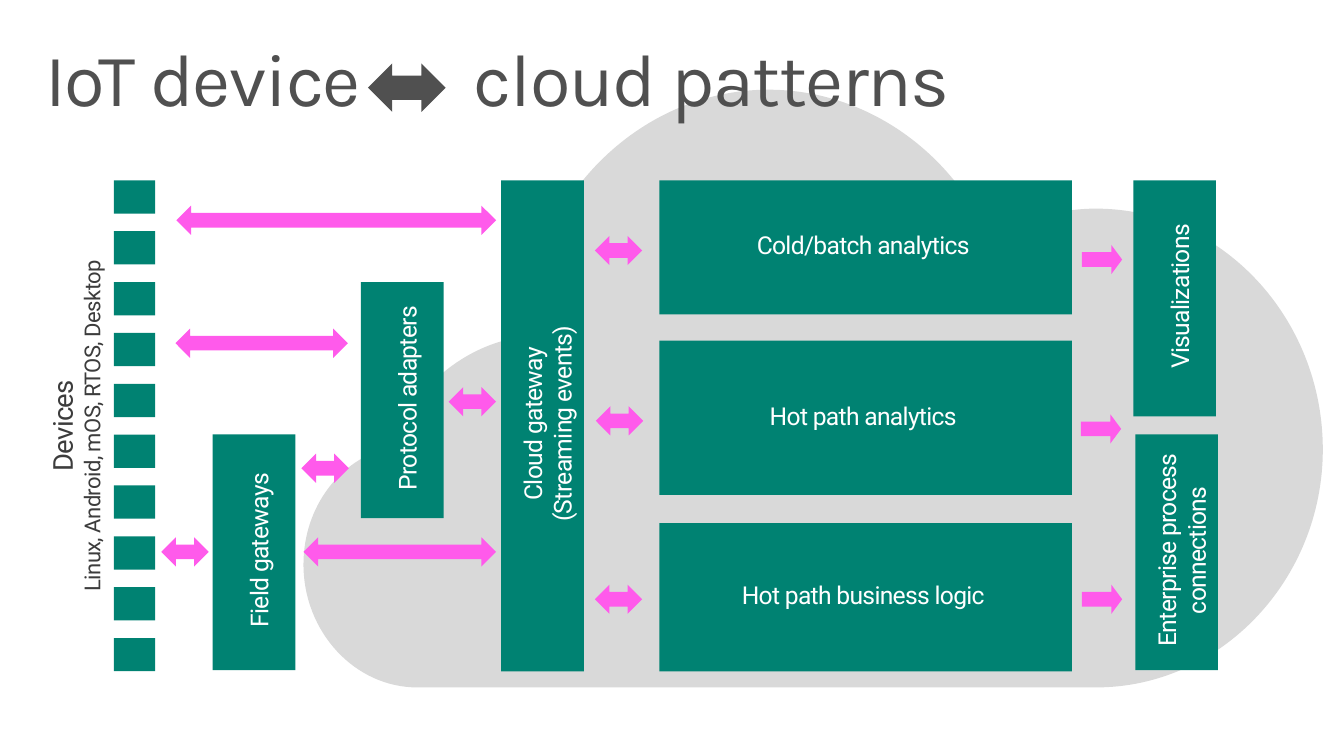
"""Build the slide on patterns that link IoT devices to the cloud."""
import lxml.etree
import pptx
import pptx.dml.color
import pptx.enum.shapes
import pptx.enum.text
import pptx.oxml
import pptx.oxml.ns
import pptx.util

Inches = pptx.util.Inches
Pt = pptx.util.Pt
RGBColor = pptx.dml.color.RGBColor
MSO_SHAPE = pptx.enum.shapes.MSO_SHAPE
PP_ALIGN = pptx.enum.text.PP_ALIGN
MSO_ANCHOR = pptx.enum.text.MSO_ANCHOR
qn = pptx.oxml.ns.qn

TEAL = RGBColor(0x00, 0x82, 0x72)
PINK = RGBColor(0xFF, 0x5A, 0xEB)
CLOUD_GRAY = RGBColor(0xD9, 0xD9, 0xD9)
TITLE_GRAY = RGBColor(0x50, 0x50, 0x50)
LABEL_GRAY = RGBColor(0x3C, 0x3C, 0x3C)
WHITE = RGBColor(0xFF, 0xFF, 0xFF)

presentation = pptx.Presentation()
presentation.slide_width = Inches(13.33)
presentation.slide_height = Inches(7.5)
slide = presentation.slides.add_slide(presentation.slide_layouts[6])


def add_block(kind, left, top, width, height, color):
    """Add a plain filled shape without outline or shadow."""
    shape = slide.shapes.add_shape(
        kind, Inches(left), Inches(top), Inches(width), Inches(height))
    shape.shadow.inherit = False
    shape.fill.solid()
    shape.fill.fore_color.rgb = color
    shape.line.fill.background()
    return shape


def write_lines(shape, lines, margins, align, spacing, font_format):
    """Fill a shape with (text, size) lines in one character format."""
    frame = shape.text_frame
    frame.word_wrap = True
    sides = ("margin_left", "margin_top", "margin_right", "margin_bottom")
    for side, margin in zip(sides, margins):
        setattr(frame, side, Inches(margin))
    for index, (text, size) in enumerate(lines):
        paragraph = frame.add_paragraph() if index else frame.paragraphs[0]
        paragraph.alignment = align
        run = paragraph.add_run()
        run.text = text
        run.font.size = Pt(size)
        run.font.color.rgb = font_format["color"]
        for name, value in font_format["values"].items():
            setattr(run.font, name, value)
        run._r.get_or_add_rPr().set("spc", str(spacing))


cloud_left, cloud_top = 3.01, 0.89
cloud_start = (10.87, 6.82)
cloud_curves = [
    ((4.14, 6.82), (4.14, 6.82), (4.14, 6.82)),
    ((3.52, 6.82), (3.01, 6.27), (3.01, 5.6)),
    ((3.01, 5.03), (3.37, 4.56), (3.86, 4.44)),
    ((4.1, 3.85), (4.6, 3.42), (5.19, 3.34)),
    ((5.25, 1.99), (6.33, 0.89), (7.62, 0.89)),
    ((8.57, 0.89), (9.42, 1.48), (9.82, 2.37)),
    ((10.14, 2.18), (10.5, 2.07), (10.87, 2.07)),
    ((12.11, 2.07), (13.12, 3.15), (13.12, 4.46)),
    ((13.12, 5.75), (12.11, 6.82), cloud_start),
]
builder = slide.shapes.build_freeform(*map(Inches, cloud_start), scale=1.0)
builder.add_line_segments(
    [tuple(map(Inches, curve[-1])) for curve in cloud_curves], close=True)
cloud = builder.convert_to_shape()
cloud.shadow.inherit = False
cloud.fill.solid()
cloud.fill.fore_color.rgb = CLOUD_GRAY
cloud.line.fill.background()
segments = list(cloud._element.iter(qn("a:lnTo")))
for segment, curve in zip(segments, cloud_curves):
    bezier = lxml.etree.Element(qn("a:cubicBezTo"))
    for x, y in curve:
        lxml.etree.SubElement(bezier, qn("a:pt"),
                              x=str(Inches(x) - Inches(cloud_left)),
                              y=str(Inches(y) - Inches(cloud_top)))
    segment.getparent().replace(segment, bezier)

for device in range(10):
    add_block(MSO_SHAPE.RECTANGLE, 1.13, 1.79 + device * 4.54 / 9, 0.41, 0.33, TEAL)

upright = {"margins": (0.14, 0.05, 0.05, 0.14), "vert": "vert270"}
level = {"margins": (0.05, 0.05, 0.1, 0.1), "vert": "horz"}
box_font = {"color": WHITE, "values": {"name": "Roboto"}}
boxes = [
    (["Field gateways"], 2.11, 4.31, 0.82, 2.34, upright),
    (["Protocol adapters"], 3.58, 2.8, 0.82, 2.34, upright),
    (["Cloud gateway", "(Streaming events)"], 4.97, 1.79, 0.82, 4.87, upright),
    (["Hot path analytics"], 6.54, 3.38, 4.09, 1.53, level),
    (["Cold/batch analytics"], 6.54, 1.79, 4.09, 1.33, level),
    (["Hot path business logic"], 6.54, 5.19, 4.09, 1.47, level),
    (["Enterprise process connections"], 11.26, 4.31, 0.82, 2.34, upright),
    (["Visualizations"], 11.24, 1.79, 0.82, 2.34, upright),
]
for texts, left, top, width, height, direction in boxes:
    box = add_block(MSO_SHAPE.RECTANGLE, left, top, width, height, TEAL)
    write_lines(box, [(text, 17.6) for text in texts], direction["margins"],
                PP_ALIGN.CENTER, -50, box_font)
    box.text_frame.vertical_anchor = MSO_ANCHOR.MIDDLE
    box.text_frame._txBody.bodyPr.set("vert", direction["vert"])

devices_label = slide.shapes.add_textbox(
    Inches(-1.69), Inches(3.93), Inches(4.87), Inches(0.59))
devices_label.rotation = 270
write_lines(devices_label,
            [("Devices", 19.6), ("Linux, Android, mOS, RTOS, Desktop", 15.7)],
            (0, 0, 0, 0), PP_ALIGN.CENTER, -40,
            {"color": LABEL_GRAY, "values": {"name": "Roboto"}})

two_way_arrows = [
    (1.75, 2.04, 3.17), (1.74, 3.26, 1.71), (3.01, 5.33, 1.91),
    (1.6, 5.33, 0.47), (2.99, 4.5, 0.47), (4.45, 3.84, 0.47),
    (5.9, 2.34, 0.47), (5.91, 4.03, 0.47), (5.9, 5.8, 0.47),
]
for left, top, width in two_way_arrows:
    add_block(MSO_SHAPE.LEFT_RIGHT_ARROW, left, top, width, 0.29, PINK)

for left, top in [(10.73, 2.43), (10.72, 4.11), (10.73, 5.8)]:
    arrow = add_block(MSO_SHAPE.RIGHT_ARROW, left, top, 0.4, 0.29, PINK)
    arrow.adjustments[1] = 0.37

title = slide.shapes.add_textbox(
    Inches(0.29), Inches(0.32), Inches(12.75), Inches(0.98))
write_lines(title, [("IoT device\tcloud patterns", 52.9)],
            (0.16, 0.1, 0.16, 0.1), PP_ALIGN.LEFT, -100,
            {"color": TITLE_GRAY, "values": {"name": "Karla"}})
title_paragraph = title.text_frame.paragraphs[0]
title_paragraph.line_spacing = 0.9
tab_list = pptx.oxml.parse_xml(
    f'<a:tabLst {pptx.oxml.ns.nsdecls("a")}>'
    f'<a:tab pos="{Inches(4.25)}" algn="l"/></a:tabLst>')
title_paragraph._p.get_or_add_pPr().append(tab_list)
add_block(MSO_SHAPE.LEFT_RIGHT_ARROW, 3.65, 0.63, 0.77, 0.48, TITLE_GRAY)

presentation.save("out.pptx")
